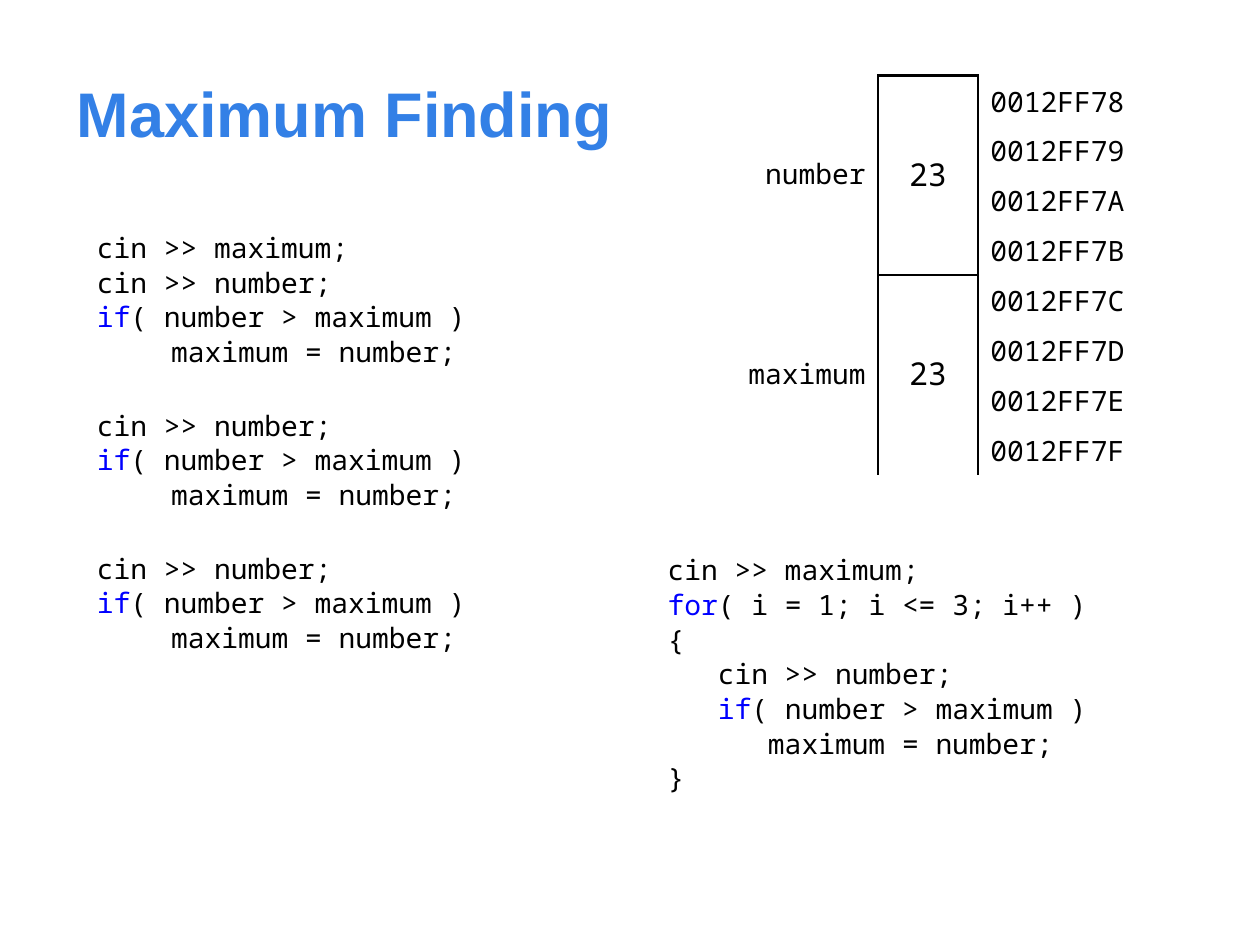
"""Build the Maximum Finding slide: two code listings and a memory table."""
from lxml.etree import SubElement
from pptx import Presentation
from pptx.dml.color import RGBColor
from pptx.enum.text import MSO_ANCHOR, PP_ALIGN
from pptx.oxml.ns import qn
from pptx.util import Inches, Pt

BLACK = RGBColor(0x00, 0x00, 0x00)
BLUE = RGBColor(0x00, 0x00, 0xFF)
TITLE_BLUE = RGBColor(0x33, 0x80, 0xE6)
MONO = "Noto Sans Mono"
NO_STYLE = "{2D5ABB26-0587-4C30-8999-92F81FD0307C}"
KEYWORDS = ("if", "for")

TITLE = "Maximum Finding"
STEP = ["cin >> number;", "if( number > maximum )", "\tmaximum = number;"]
UNROLLED = [["cin >> maximum;"] + STEP, STEP, STEP]
LOOP = [[
    "cin >> maximum;",
    "for( i = 1; i <= 3; i++ )",
    "{",
    "   cin >> number;",
    "   if( number > maximum )",
    "      maximum = number;",
    "}",
]]
VARIABLES = [("number", "23"), ("maximum", "23")]
FIRST_ADDRESS = 0x0012FF78
BYTES = 4

TABLE_LEFT, TABLE_TOP, TABLE_HEIGHT = 5.79, 0.6, 3.17
COLUMNS = [1.18, 0.79, 1.38]
COLUMN_SIDES = ["R", "LR", "L"]
LINE_GAP, BLOCK_GAP, HANG = 0.6, 23, 0.59


def write(p, text, size=16, font=MONO, color=BLACK, bold=False, align=PP_ALIGN.LEFT):
    p.alignment = align
    word = text.strip().split("(")[0]
    if word in KEYWORDS:
        before, word, after = text.partition(word)
        parts = [(before, color), (word, BLUE), (after, color)]
    else:
        parts = [(text, color)]
    for part, part_color in parts:
        if part:
            r = p.add_run()
            r.text = part
            r.font.size, r.font.name, r.font.bold = Pt(size), font, bold
            r.font.color.rgb = part_color


def add_box(s, left, top, width, height):
    box = s.shapes.add_textbox(*map(Inches, (left, top, width, height)))
    box.text_frame.word_wrap = True
    return box.text_frame


def add_code(s, blocks, *place):
    tf = add_box(s, *place)
    for b, block in enumerate(blocks):
        for i, line in enumerate(block):
            first = b == i == 0
            p = tf.paragraphs[0] if first else tf.add_paragraph()
            if not first:
                p.space_before = Pt(LINE_GAP if i else BLOCK_GAP)
            pPr = p._p.get_or_add_pPr()
            pPr.set("marL", str(Inches(HANG)))
            pPr.set("indent", str(-Inches(HANG)))
            write(p, line)


def set_borders(cell, widths):
    tcPr = cell._tc.get_or_add_tcPr()
    for i, side in enumerate(s for s in "LRTB" if s in widths):
        ln = SubElement(tcPr, qn(f"a:ln{side}"), w=str(Pt(widths[side])))
        fill = SubElement(ln, qn("a:solidFill"))
        SubElement(fill, qn("a:srgbClr"), val=str(BLACK))
        tcPr.insert(i, ln)


def add_memory(s):
    rows = BYTES * len(VARIABLES)
    frame = s.shapes.add_table(
        rows, len(COLUMNS), Inches(TABLE_LEFT), Inches(TABLE_TOP),
        Inches(sum(COLUMNS)), Inches(TABLE_HEIGHT))
    table = frame.table
    table.first_row = table.horz_banding = False
    table._tbl.tblPr.find(qn("a:tableStyleId")).text = NO_STYLE
    for c, width in enumerate(COLUMNS):
        table.columns[c].width = Inches(width)
    for r in range(rows):
        table.rows[r].height = Inches(TABLE_HEIGHT / rows)
        for c, sides in enumerate(COLUMN_SIDES):
            cell = table.cell(r, c)
            address = c == 2
            cell.vertical_anchor = MSO_ANCHOR.MIDDLE
            cell.margin_left = Inches(0.1)
            cell.margin_right = Inches(0.08 if address else 0.1)
            cell.margin_top = Inches(0.05 if address else 0)
            cell.margin_bottom = Inches(0.04 if address else 0.02)
            cell.fill.background()
            widths = dict.fromkeys(sides, 1.5)
            if c == 1 and r % BYTES == 0:
                widths["T"] = 1 if r else 1.5
            if c == 1 and (r + 1) % BYTES == 0:
                widths["B"] = 1 if r + 1 < rows else 1.5
            set_borders(cell, widths)
        write(table.cell(r, 2).text_frame.paragraphs[0], f"{FIRST_ADDRESS + r:08X}")
    for v, (name, value) in enumerate(VARIABLES):
        top = v * BYTES
        for c in (0, 1):
            table.cell(top, c).merge(table.cell(top + BYTES - 1, c))
        label, content = (table.cell(top, c).text_frame.paragraphs[0] for c in (0, 1))
        write(label, name, align=PP_ALIGN.RIGHT)
        write(content, value, size=18, align=PP_ALIGN.CENTER)


def main():
    prs = Presentation()
    prs.slide_width, prs.slide_height = Inches(10), Inches(7.5)
    s = prs.slides.add_slide(prs.slide_layouts[6])
    tf = add_box(s, 0.47, 0.4, 4.53, 0.98)
    tf.vertical_anchor = MSO_ANCHOR.MIDDLE
    write(tf.paragraphs[0], TITLE, size=36, font="Arial", color=TITLE_BLUE,
          bold=True, align=PP_ALIGN.CENTER)
    add_code(s, UNROLLED, 0.67, 1.78, 3.15, 3.94)
    add_code(s, LOOP, 5.2, 4.34, 3.54, 2.36)
    add_memory(s)
    prs.save("out.pptx")


if __name__ == "__main__":
    main()
